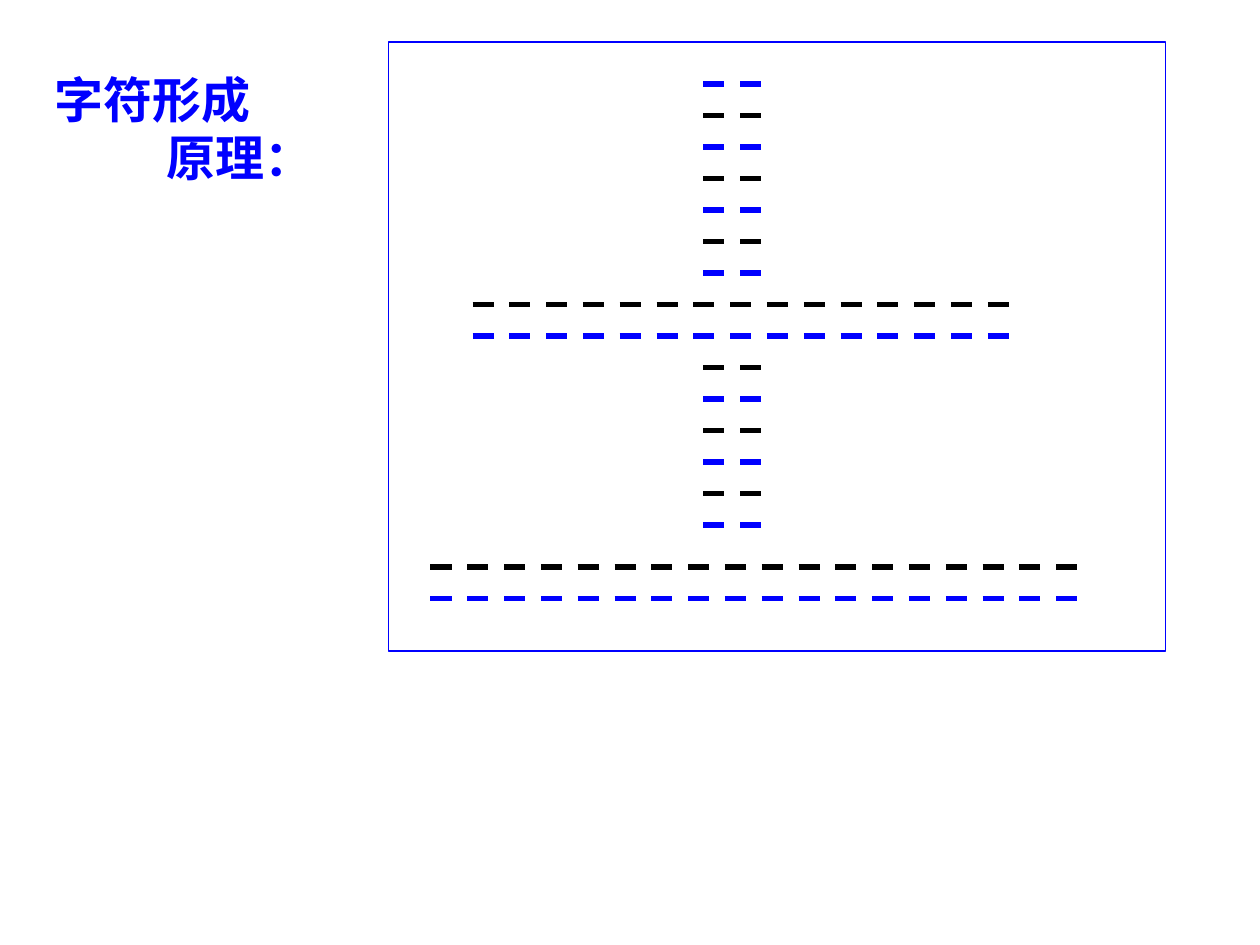
from lxml import etree
from pptx import Presentation
from pptx.dml.color import RGBColor
from pptx.enum.dml import MSO_LINE
from pptx.enum.shapes import MSO_CONNECTOR, MSO_SHAPE
from pptx.oxml.ns import qn
from pptx.util import Cm, Pt

STRAIGHT = MSO_CONNECTOR.STRAIGHT
RECTANGLE = MSO_SHAPE.RECTANGLE
DASH = MSO_LINE.DASH
BLUE = RGBColor(0x00, 0x00, 0xFF)
BLACK = RGBColor(0x00, 0x00, 0x00)
WHITE = RGBColor(0xFF, 0xFF, 0xFF)
GRID_CM = 2.54 / 12
HEADING_FONT = {"name": "Times New Roman", "size": Pt(28), "bold": True}
SCAN_LINE = {"width": Pt(3), "dash_style": DASH}
THIN_LINE = {"width": Pt(0.75)}


class ScanSlide:
    """Draws text, frames and scan lines on a grid of twelfths of an inch."""

    def __init__(self, slide):
        self.shapes = slide.shapes

    def grid(self, *steps):
        return [Cm(step * GRID_CM) for step in steps]

    def apply(self, target, values, color):
        for name, value in values.items():
            setattr(target, name, value)
        target.color.rgb = color

    def heading(self, text, left, top, width, height):
        box = self.shapes.add_textbox(*self.grid(left, top, width, height))
        self.apply(box.line, THIN_LINE, WHITE)
        box.text_frame.word_wrap = True
        paragraph = box.text_frame.paragraphs[0]
        indent = Cm(2.26)
        properties = paragraph._p.get_or_add_pPr()
        properties.set("marL", str(indent))
        properties.set("indent", str(-indent))
        run = paragraph.add_run()
        run.text = text
        self.apply(run.font, HEADING_FONT, BLUE)

    def frame(self, left, top, width, height):
        screen = self.shapes.add_shape(RECTANGLE, *self.grid(left, top, width, height))
        screen.shadow.inherit = False
        screen.fill.solid()
        screen.fill.fore_color.rgb = WHITE
        self.apply(screen.line, THIN_LINE, BLUE)

    def scan_line(self, start, end, level, color):
        scan = self.shapes.add_connector(STRAIGHT, *self.grid(start, level, end, level))
        etree.SubElement(scan._element.spPr, qn("a:effectLst"))
        self.apply(scan.line, SCAN_LINE, color)


def main():
    deck = Presentation()
    deck.slide_width, deck.slide_height = Cm(25.4), Cm(19.05)
    scan_slide = ScanSlide(deck.slides.add_slide(deck.slide_layouts[6]))
    scan_slide.heading("字符形成原理：", 4, 6, 23, 18)
    scan_slide.frame(37, 4, 74, 58)

    stem, crossbar = (67, 73), (45, 97)
    for row in range(15):
        start, end = crossbar if row in (7, 8) else stem
        scan_slide.scan_line(start, end, 8 + 3 * row, BLACK if row % 2 else BLUE)
    scan_slide.scan_line(41, 104, 54, BLACK)
    scan_slide.scan_line(41, 103, 57, BLUE)

    deck.save("out.pptx")


if __name__ == "__main__":
    main()
